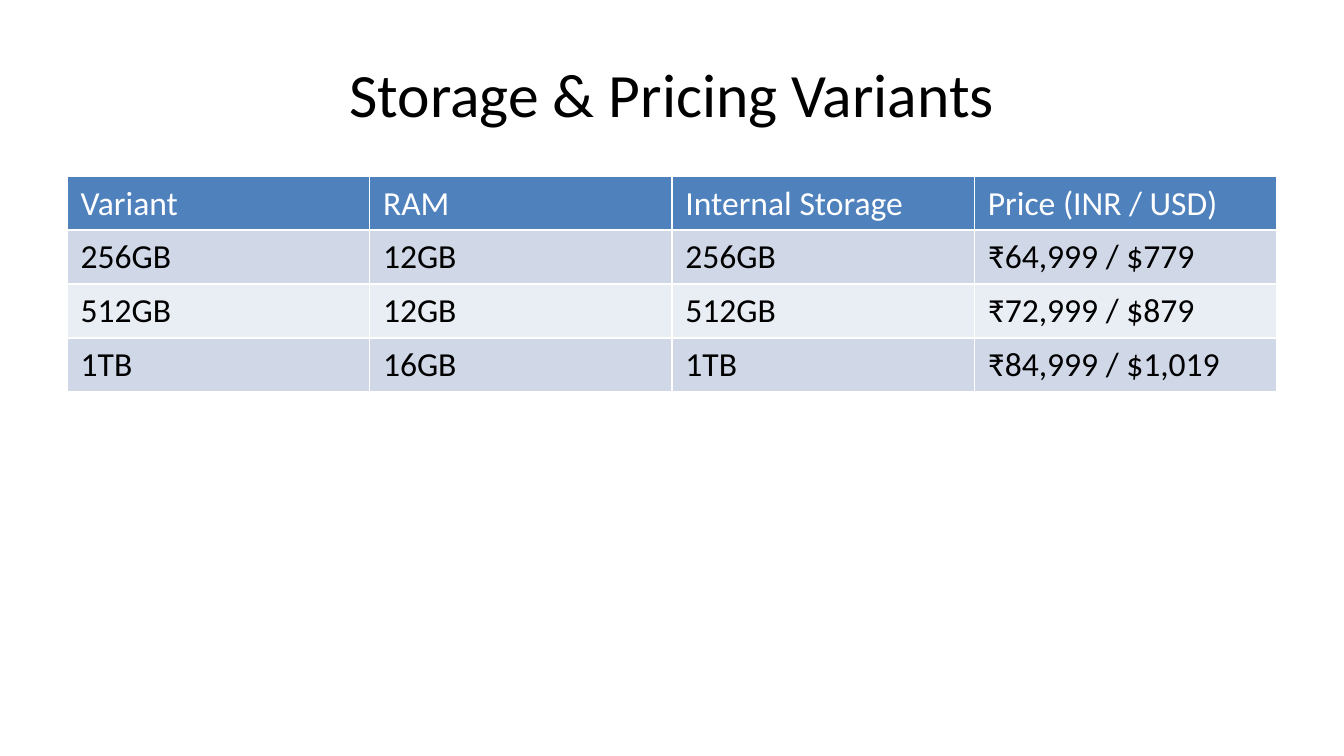
"""Build the storage and pricing variants slide."""
from dataclasses import dataclass

from lxml import etree
from pptx import Presentation
from pptx import util as u
from pptx.dml.color import RGBColor
from pptx.enum import text
from pptx.oxml import ns

TITLE = "Storage & Pricing Variants"
VARIANTS = [
    ("Variant", "RAM", "Internal Storage", "Price (INR / USD)"),
    ("256GB", "12GB", "256GB", "₹64,999 / $779"),
    ("512GB", "12GB", "512GB", "₹72,999 / $879"),
    ("1TB", "16GB", "1TB", "₹84,999 / $1,019"),
]
WIDTH = u.Inches(10)
HEIGHT = WIDTH * 9 // 16
MARGIN = WIDTH // 20
TITLE_TOP, TITLE_HEIGHT = HEIGHT // 25, HEIGHT // 6
TABLE_TOP, TABLE_HEIGHT = HEIGHT * 7 // 30, HEIGHT * 33 // 50


@dataclass(frozen=True)
class Theme:
    font: str = "Calibri"
    title_size: int = 33
    cell_size: int = 18
    ink: str = "000000"
    paper: str = "FFFFFF"
    header: str = "4F81BD"
    bands: tuple = ("D0D8E8", "E9EDF4")
    rule: int = 1


THEME = Theme()


def add_span(para, words, size, color):
    span = para.add_run()
    span.text = words
    span.font.name = THEME.font
    span.font.size = u.Pt(size)
    span.font.color.rgb = RGBColor.from_string(color)


def set_borders(cell):
    properties = cell._tc.get_or_add_tcPr()
    for side in "LRTB":
        line = etree.SubElement(
            properties, ns.qn(f"a:ln{side}"), w=str(u.Pt(THEME.rule))
        )
        fill = etree.SubElement(line, ns.qn("a:solidFill"))
        etree.SubElement(fill, ns.qn("a:srgbClr"), val=THEME.paper)


def add_title(page):
    box = page.shapes.add_textbox(MARGIN, TITLE_TOP, WIDTH - 2 * MARGIN, TITLE_HEIGHT)
    frame = box.text_frame
    frame.word_wrap = True
    frame.vertical_anchor = text.MSO_ANCHOR.MIDDLE
    para = frame.paragraphs[0]
    para.alignment = text.PP_ALIGN.CENTER
    add_span(para, TITLE, THEME.title_size, THEME.ink)


def add_variants(page):
    holder = page.shapes.add_table(
        len(VARIANTS), len(VARIANTS[0]),
        MARGIN, TABLE_TOP, WIDTH - 2 * MARGIN, TABLE_HEIGHT,
    )
    table = holder.table
    for row, values in enumerate(VARIANTS):
        is_header = row == 0
        shade = THEME.header if is_header else THEME.bands[(row - 1) % 2]
        color = THEME.paper if is_header else THEME.ink
        table.rows[row].height = 0
        for column, words in enumerate(values):
            cell = table.cell(row, column)
            set_borders(cell)
            cell.fill.solid()
            cell.fill.fore_color.rgb = RGBColor.from_string(shade)
            add_span(cell.text_frame.paragraphs[0], words, THEME.cell_size, color)
    holder.height = TABLE_HEIGHT


def main():
    deck = Presentation()
    deck.slide_width, deck.slide_height = WIDTH, HEIGHT
    page = deck.slides.add_slide(deck.slide_layouts[6])
    add_title(page)
    add_variants(page)
    deck.save("out.pptx")


if __name__ == "__main__":
    main()
